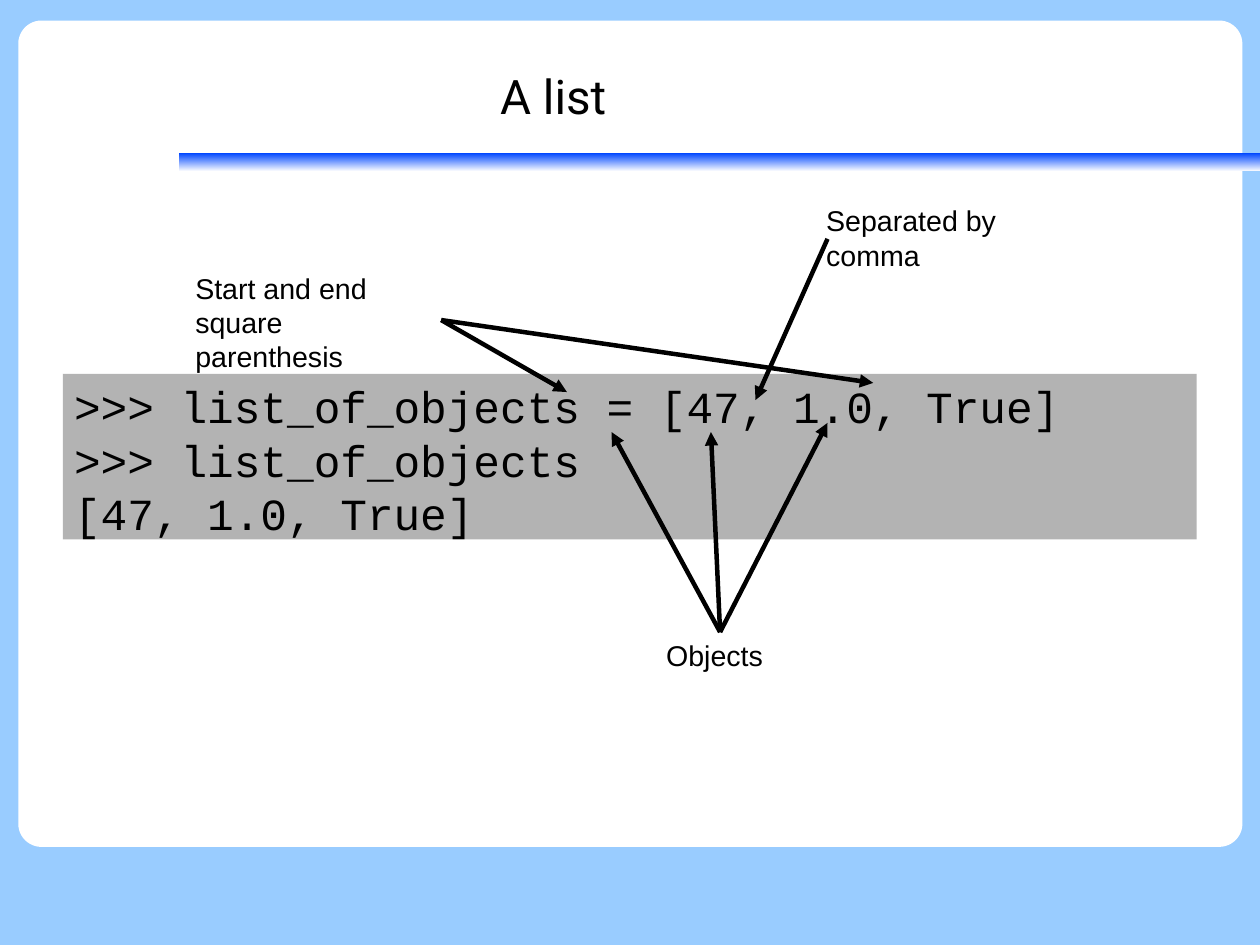
from pptx import Presentation
from pptx.dml.color import RGBColor
from pptx.enum.shapes import MSO_CONNECTOR, MSO_SHAPE
from pptx.enum.text import MSO_ANCHOR, MSO_AUTO_SIZE, PP_ALIGN
from pptx.oxml.ns import qn
from pptx.util import Inches, Pt
from lxml.etree import SubElement

COLORS = {
    "background": "99CCFF",
    "panel": "FFFFFF",
    "rule": "0047FF",
    "code": "B3B3B3",
    "ink": "000000",
}
FORMATS = {
    "title": {"name": "Roboto", "size": Pt(30)},
    "code": {"name": "Courier New", "size": Pt(28)},
    "label": {"name": "Arial", "size": Pt(18)},
}
CM_PER_INCH = 2.54


def rgb(key):
    return RGBColor.from_string(COLORS[key])


def write(frame, lines, style, alignment=PP_ALIGN.LEFT):
    for index, line in enumerate(lines):
        paragraph = frame.paragraphs[0] if index == 0 else frame.add_paragraph()
        paragraph.text = line
        paragraph.alignment = alignment
        for attribute, value in FORMATS[style].items():
            setattr(paragraph.font, attribute, value)
        paragraph.font.color.rgb = rgb("ink")


def add_block(slide, kind, box, color):
    block = slide.shapes.add_shape(kind, *map(Inches, box))
    block.shadow.inherit = False
    block.fill.solid()
    block.fill.fore_color.rgb = rgb(color)
    block.line.fill.background()
    return block


def add_frame(slide, box):
    """White panel and the fading blue rule that runs off to the right edge."""
    left, top = box[:2]
    panel = add_block(slide, MSO_SHAPE.ROUNDED_RECTANGLE, box, "panel")
    panel.adjustments[0] = 0.028

    rule = add_block(slide, MSO_SHAPE.RECTANGLE,
                     (left + 1.41, top + 1.16, 9.45, 0.16), "rule")
    rule.fill.gradient()
    rule.fill.gradient_angle = 90
    for stop, color in zip(rule.fill.gradient_stops, ("panel", "rule")):
        stop.color.rgb = rgb(color)


def add_title(slide, box, text):
    frame = slide.shapes.add_textbox(*map(Inches, box)).text_frame
    for side in ("left", "top", "right", "bottom"):
        setattr(frame, f"margin_{side}", 0)
    frame.word_wrap = True
    frame.vertical_anchor = MSO_ANCHOR.MIDDLE
    write(frame, [text], "title", PP_ALIGN.CENTER)


def add_code(slide, box, lines):
    frame = add_block(slide, MSO_SHAPE.RECTANGLE, box, "code").text_frame
    frame.word_wrap = True
    frame.vertical_anchor = MSO_ANCHOR.TOP
    write(frame, lines, "code")


def add_arrow(slide, start, end):
    arrow = slide.shapes.add_connector(
        MSO_CONNECTOR.STRAIGHT, *map(Inches, (*start, *end)))
    arrow.line.color.rgb = rgb("ink")
    arrow.line.width = Pt(2.83)
    SubElement(arrow.line._get_or_add_ln(), qn("a:tailEnd"), type="triangle")
    SubElement(arrow._element.spPr, qn("a:effectLst"))


def add_callout(slide, box, lines, start, targets):
    """Label with arrows from one offset in its box to points in the code."""
    left, top = box[:2]
    origin = (left + start[0], top + start[1])
    for target in targets:
        add_arrow(slide, origin, target)
    frame = slide.shapes.add_textbox(*map(Inches, box)).text_frame
    frame.word_wrap = False
    frame.auto_size = MSO_AUTO_SIZE.SHAPE_TO_FIT_TEXT
    write(frame, lines, "label")


def main():
    presentation = Presentation()
    presentation.slide_width = Inches(28 / CM_PER_INCH)
    presentation.slide_height = Inches(21 / CM_PER_INCH)
    slide = presentation.slides.add_slide(presentation.slide_layouts[6])
    slide.background.fill.solid()
    slide.background.fill.fore_color.rgb = rgb("background")

    # Frame and title
    add_frame(slide, (0.16, 0.18, 10.71, 7.23))
    add_title(slide, (0.55, 0.33, 8.58, 1.01), "A list")

    # Code
    add_code(slide, (0.55, 3.27, 9.92, 1.45), [
        ">>> list_of_objects = [47, 1.0, True]",
        ">>> list_of_objects",
        "[47, 1.0, True]",
    ])

    # Callouts
    add_callout(slide, (1.61, 2.32, 2.32, 0.66),
                ["Start and end", "square parenthesis"],
                (2.25, 0.48), [(4.96, 3.43), (7.64, 3.35)])
    add_callout(slide, (5.73, 5.53, 1.05, 0.38), ["Objects"],
                (0.57, 0), [(5.35, 3.78), (6.22, 3.78), (7.24, 3.7)])
    add_callout(slide, (7.13, 1.73, 2.57, 0.38), ["Separated by comma"],
                (0.11, 0.36), [(6.61, 3.5)])

    presentation.save("out.pptx")


if __name__ == "__main__":
    main()
